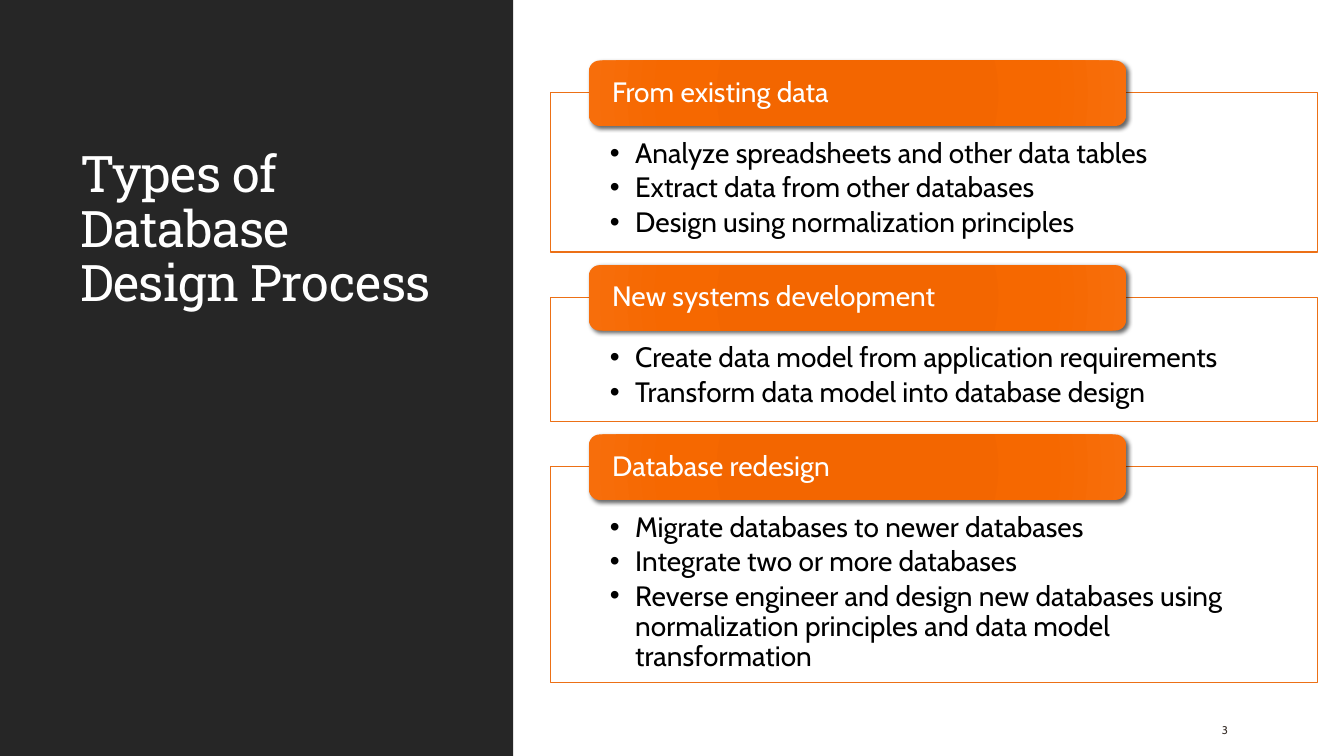
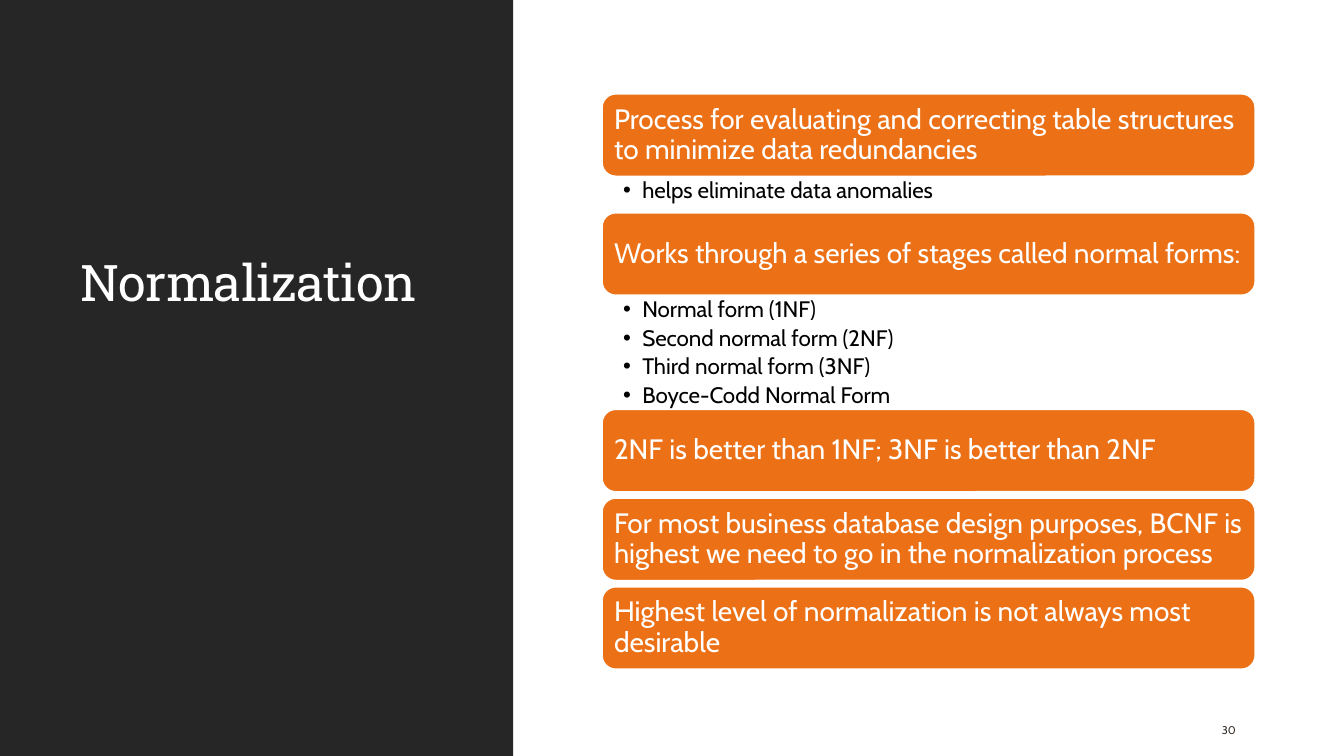
import lxml.etree
import pptx
import pptx.dml.color
import pptx.enum.shapes
import pptx.enum.text
import pptx.oxml
import pptx.oxml.ns
import pptx.util

Inches = pptx.util.Inches
Pt = pptx.util.Pt
SHAPE = pptx.enum.shapes.MSO_SHAPE
ANCHOR = pptx.enum.text.MSO_ANCHOR
qn = pptx.oxml.ns.qn

WHITE, BLACK, DARK, BROWN, ORANGE = "FFFFFF", "000000", "262626", "39302A", "EC7016"
GLOW = [(0, "F06500"), (34, "F36600"), (70, "F66800"), (100, "F76E0B")]
XMLNS = 'xmlns:a="http://schemas.openxmlformats.org/drawingml/2006/main"'

TITLE = {"name": "Roboto Slab", "size": Pt(36), "color": WHITE}
HEAD = {"name": "Cabin", "size": Pt(20), "color": WHITE}
BODY = {"name": "Cabin", "size": Pt(20), "color": BLACK}
SMALL = {"name": "Cabin", "size": Pt(16), "color": BLACK}
FOOT = {"name": "Cabin", "size": Pt(8), "color": BROWN}

TYPES = [
    ("From existing data", 1.58, [
        "Analyze spreadsheets and other data tables",
        "Extract data from other databases",
        "Design using normalization principles"]),
    ("New systems development", 1.23, [
        "Create data model from application requirements",
        "Transform data model into database design"]),
    ("Database redesign", 2.14, [
        "Migrate databases to newer databases",
        "Integrate two or more databases",
        "Reverse engineer and design new databases using normalization "
        "principles and data model transformation"]),
]

# Each bar: its text, the room below it, and the points in that room.
STAGES = [
    ("Process for evaluating and correcting table structures to minimize "
     "data redundancies", 0.36, ["helps eliminate data anomalies"]),
    ("Works through a series of stages called normal forms:", 1.13, [
        "Normal form (1NF)", "Second normal form (2NF)",
        "Third normal form (3NF)", "Boyce-Codd Normal Form"]),
    ("2NF is better than 1NF; 3NF is better than 2NF", 0.06, []),
    ("For most business database design purposes, BCNF is highest we need "
     "to go in the normalization process", 0.06, []),
    ("Highest level of normalization is not always most desirable", 0.06, []),
]


def rgb(code):
    return pptx.dml.color.RGBColor.from_string(code)


def add_box(slide, kind, place, fill=None, line=None, width=1):
    box = slide.shapes.add_shape(kind, *map(Inches, place))
    box.shadow.inherit = False
    if fill:
        box.fill.solid()
        box.fill.fore_color.rgb = rgb(fill)
    if line:
        box.line.color.rgb = rgb(line)
        box.line.width = Pt(width)
    else:
        box.line.fill.background()
    return box


def add_text(slide, place):
    return slide.shapes.add_textbox(*map(Inches, place))


def add_bullet(para, indent):
    props = para._p.get_or_add_pPr()
    props.set("marL", str(Inches(indent)))
    props.set("indent", str(-Inches(indent)))
    for tag, key, value in (("a:buFont", "typeface", "Arial"), ("a:buChar", "char", "•")):
        lxml.etree.SubElement(props, qn(tag)).set(key, value)


def write(shape, lines, style, anchor=ANCHOR.TOP, insets=(0.1, 0.05, 0.1, 0.05),
          indent=0, after=0, track=0):
    """Fill a shape with left-aligned paragraphs, bulleted when indent is set."""
    frame = shape.text_frame
    frame.word_wrap = True
    frame.vertical_anchor = anchor
    for side, inset in zip(("left", "top", "right", "bottom"), insets):
        setattr(frame, "margin_" + side, Inches(inset))
    layout = {"alignment": pptx.enum.text.PP_ALIGN.LEFT, "line_spacing": 0.9,
              "space_after": Pt(after)}
    for i, line in enumerate(lines):
        para = frame.add_paragraph() if i else frame.paragraphs[0]
        if indent:
            add_bullet(para, indent)
        for key, value in layout.items():
            setattr(para, key, value)
        run = para.add_run()
        run.text = line
        for key, value in style.items():
            if key == "color":
                run.font.color.rgb = rgb(value)
            else:
                setattr(run.font, key, value)
        if track:
            run._r.get_or_add_rPr().set("spc", str(track))


def add_glow(box):
    """Give a box its radial gradient and soft shadow."""
    stops = "".join(f'<a:gs pos="{pos * 1000}"><a:srgbClr val="{code}"/></a:gs>'
                    for pos, code in GLOW)
    grad = pptx.oxml.parse_xml(
        f'<a:gradFill {XMLNS} rotWithShape="1"><a:gsLst>{stops}</a:gsLst>'
        '<a:path path="circle"><a:fillToRect l="100000" t="100000" '
        'r="100000" b="100000"/></a:path></a:gradFill>')
    shade = pptx.oxml.parse_xml(
        f'<a:outerShdw {XMLNS} blurRad="{Pt(3)}" dist="{Pt(2)}" dir="2700000" '
        'rotWithShape="0"><a:srgbClr val="000000"><a:alpha val="60000"/>'
        '</a:srgbClr></a:outerShdw>')
    props = box._element.spPr
    props.find(qn("a:prstGeom")).addnext(grad)
    props.find(qn("a:effectLst")).append(shade)


def add_slide(deck, title, number):
    """Start a slide with the dark side band, title and page number."""
    slide = deck.slides.add_slide(deck.slide_layouts[6])
    add_box(slide, SHAPE.RECTANGLE, (0, 0, 5.09, 7.5), DARK)
    write(add_text(slide, (0.7, 0.86, 3.85, 2.29)), [title], TITLE,
          ANCHOR.BOTTOM, track=-50)
    write(add_text(slide, (12.02, 7.05, 0.85, 0.4)), [number], FOOT,
          ANCHOR.MIDDLE, after=6)
    return slide


def add_types(slide):
    top = 0.92
    for head, height, points in TYPES:
        frame = add_box(slide, SHAPE.RECTANGLE, (5.46, top, 7.61, height), WHITE, ORANGE)
        write(frame, points, BODY, insets=(0.59, 0.46, 0.59, 0.16), indent=0.25, after=3)
        tab = add_box(slide, SHAPE.ROUNDED_RECTANGLE, (5.84, top - 0.32, 5.33, 0.65))
        add_glow(tab)
        write(tab, [head], HEAD, ANCHOR.MIDDLE, (0.2, 0, 0.2, 0))
        top += height + 0.45


def add_stages(slide):
    left, top, width, height = 5.97, 0.93, 6.48, 0.82
    for head, room, points in STAGES:
        bar = add_box(slide, SHAPE.ROUNDED_RECTANGLE, (left, top, width, height),
                      ORANGE, WHITE, 1.25)
        write(bar, [head], HEAD, ANCHOR.MIDDLE, (0.08,) * 4)
        top += height
        if points:
            write(add_text(slide, (left, top, width, room)), points, SMALL,
                  insets=(0.21, 0.03, 0.16, 0.03), indent=0.19, after=3.2)
        top += room


def main():
    deck = pptx.Presentation()
    deck.slide_width, deck.slide_height = Inches(13.33), Inches(7.5)
    add_types(add_slide(deck, "Types of Database Design Process", "3"))
    add_stages(add_slide(deck, "Normalization", "30"))
    deck.save("out.pptx")


if __name__ == "__main__":
    main()
